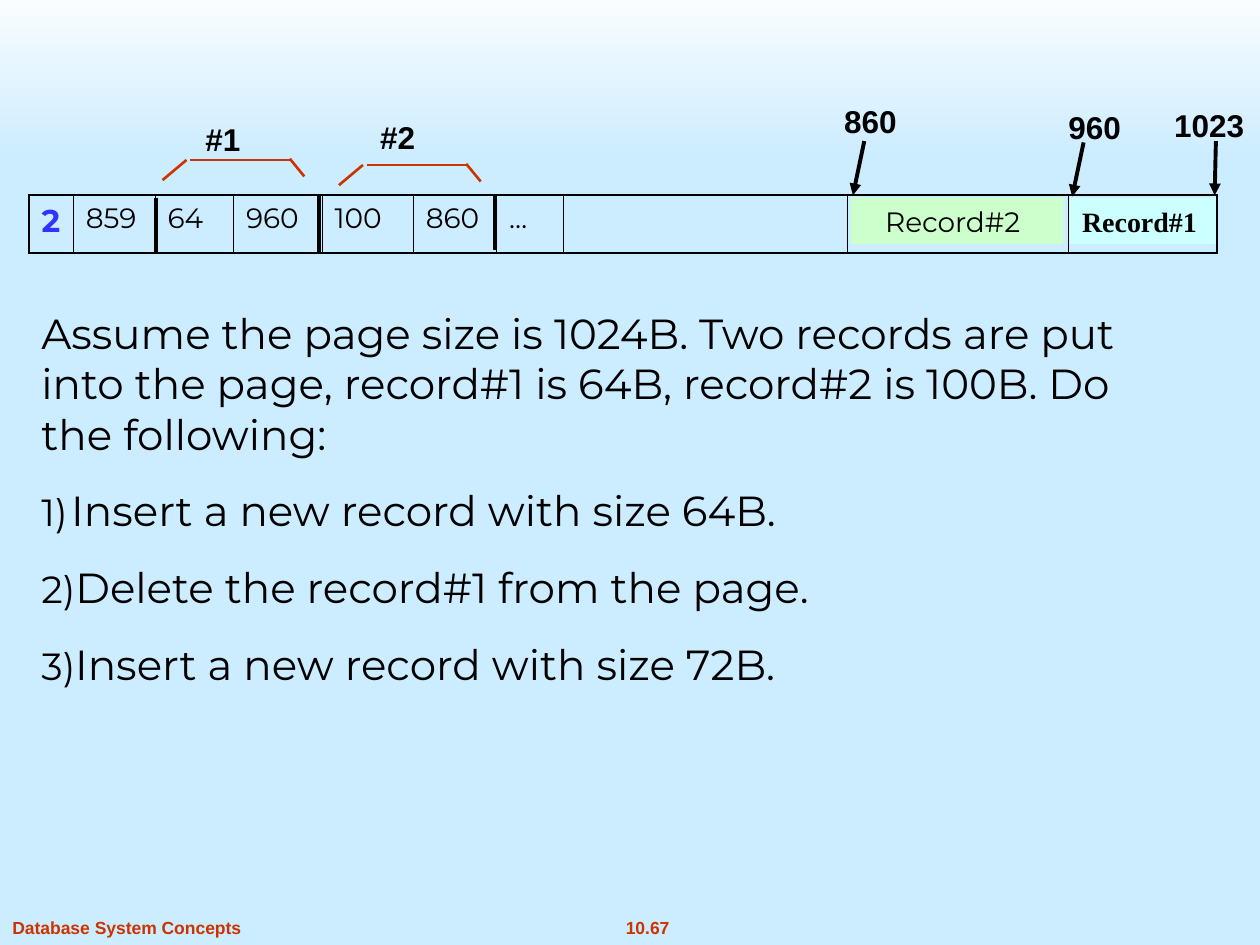
"""Builds the slide on inserting and deleting records in a slotted page."""
from lxml import etree
from pptx import Presentation
from pptx.dml.color import RGBColor
from pptx.enum.shapes import MSO_CONNECTOR, MSO_SHAPE
from pptx.enum.text import PP_ALIGN
from pptx.oxml.ns import qn
from pptx.util import Pt

STRAIGHT = MSO_CONNECTOR.STRAIGHT
RECTANGLE = MSO_SHAPE.RECTANGLE
LEFT, CENTER = PP_ALIGN.LEFT, PP_ALIGN.CENTER

BLACK = RGBColor(0x00, 0x00, 0x00)
WHITE = RGBColor(0xFF, 0xFF, 0xFF)
SKY = RGBColor(0xCC, 0xEC, 0xFF)
RED = RGBColor(0xCC, 0x33, 0x00)
BLUE = RGBColor(0x33, 0x33, 0xFF)
GREEN = RGBColor(0xCC, 0xFF, 0xCC)
CYAN = RGBColor(0xCC, 0xFF, 0xFF)

LABEL = {"name": "Arial", "size": Pt(18), "bold": True, "color": BLACK}
FOOTER = {"name": "Arial", "size": Pt(10), "bold": True, "color": RED}
COUNT = {"name": "Montserrat", "size": Pt(18), "bold": True, "color": BLUE}
ENTRY = {"name": "Montserrat", "size": Pt(16), "bold": False, "color": BLACK}
RECORD = {"name": "Times New Roman", "size": Pt(16), "bold": True, "color": BLACK}
BODY = {"name": "Montserrat", "size": Pt(24), "bold": False, "color": BLACK}

COLUMNS = [25.2, 46.8, 44.8, 50.6, 52.2, 47.5, 38.2, 162.1, 126.4, 85.2]
ENTRIES = ["2", "859", "64", "960", "100", "860", "…", "", "", ""]
TASKS = ["Insert a new record with size 64B.",
         "Delete the record#1 from the page.",
         "Insert a new record with size 72B."]


def write(para, text, style):
    """Adds a styled span to a paragraph."""
    span = para.add_run()
    span.text = text
    for key, value in style.items():
        if key == "color":
            span.font.color.rgb = value
        else:
            setattr(span.font, key, value)


def add_text(page, place, text, style, align=LEFT):
    """Adds a text box with one paragraph and returns its frame."""
    frame = page.shapes.add_textbox(*map(Pt, place)).text_frame
    frame.word_wrap = True
    frame.paragraphs[0].alignment = align
    write(frame.paragraphs[0], text, style)
    return frame


def add_rectangle(page, place):
    """Adds a rectangle without line or shadow."""
    shape = page.shapes.add_shape(RECTANGLE, *map(Pt, place))
    shape.shadow.inherit = False
    shape.line.fill.background()
    return shape


def add_gradient(page, place, colors):
    """Adds a rectangle shaded from top to bottom."""
    fill = add_rectangle(page, place).fill
    fill.gradient()
    fill.gradient_angle = 270
    for stop, color in zip(fill.gradient_stops, colors):
        stop.color.rgb = color


def add_line(shapes, start, end, color, width, arrow=False):
    """Adds a straight line, with an arrowhead at its end if asked."""
    line = shapes.add_connector(STRAIGHT, *map(Pt, start + end))
    line.line.color.rgb = color
    line.line.width = Pt(width)
    properties = line._element.spPr
    if arrow:
        etree.SubElement(properties.find(qn("a:ln")), qn("a:tailEnd"), type="triangle")
    etree.SubElement(properties, qn("a:effectLst"))


def add_bracket(page, left, top):
    """Adds a grouped bracket over one slot of the directory."""
    shapes = page.shapes.add_group_shape().shapes
    for x1, y1, x2, y2 in [(0, 11.5, 13.7, 0), (15.8, 0, 72.7, 0), (72.7, -0.7, 81, 9.4)]:
        add_line(shapes, (left + x1, top + y1), (left + x2, top + y2), RED, 1.5)


def add_record(page, place, text, style, color, indent):
    """Adds a filled record inside the page strip."""
    shape = add_rectangle(page, place)
    shape.fill.solid()
    shape.fill.fore_color.rgb = color
    frame = shape.text_frame
    frame.margin_left = Pt(indent)
    frame.paragraphs[0].alignment = LEFT
    write(frame.paragraphs[0], text, style)


def add_border(cell, side, width):
    """Adds a black border to one side of a cell."""
    edge = etree.SubElement(cell._tc.get_or_add_tcPr(), qn("a:ln" + side), w=str(Pt(width)))
    fill = etree.SubElement(edge, qn("a:solidFill"))
    etree.SubElement(fill, qn("a:srgbClr"), val=str(BLACK))


def add_strip(page):
    """Adds the table that shows the layout of the page."""
    place = map(Pt, (16.6, 111.6, sum(COLUMNS), 33.1))
    table = page.shapes.add_table(1, len(COLUMNS), *place).table
    table.first_row = table.horz_banding = False
    last = len(COLUMNS) - 1
    for index, (width, text) in enumerate(zip(COLUMNS, ENTRIES)):
        table.columns[index].width = Pt(width)
        cell = table.cell(0, index)
        add_border(cell, "L", 1.08 if index == 0 else 0.45)
        add_border(cell, "R", 1.08 if index == last else 0.45)
        add_border(cell, "T", 1.08)
        add_border(cell, "B", 1.08)
        cell.fill.background()
        if text:
            write(cell.text_frame.paragraphs[0], text, ENTRY if index else COUNT)


def add_tasks(page):
    """Adds the question and its numbered tasks."""
    question = ("Assume the page size is 1024B. Two records are put into the page, "
                "record#1 is 64B, record#2 is 100B. Do the following:")
    frame = add_text(page, (16.6, 172.1, 666, 225.4), question, BODY)
    for task in TASKS:
        para = frame.add_paragraph()
        para.space_before = Pt(15)
        properties = para._p.get_or_add_pPr()
        properties.set("marL", str(Pt(17)))
        properties.set("indent", str(Pt(-17)))
        color = etree.SubElement(properties, qn("a:buClr"))
        etree.SubElement(color, qn("a:srgbClr"), val=str(BLACK))
        etree.SubElement(properties, qn("a:buSzPct"), val="90000")
        etree.SubElement(properties, qn("a:buAutoNum"), type="arabicParenR")
        write(para, task, BODY)


def main():
    """Builds and saves the deck."""
    deck = Presentation()
    deck.slide_width, deck.slide_height = Pt(720), Pt(540)
    page = deck.slides.add_slide(deck.slide_layouts[6])
    page.background.fill.solid()
    page.background.fill.fore_color.rgb = SKY

    add_gradient(page, (0, -12.2, 720, 103.7), (WHITE, SKY))
    add_text(page, (331.9, 520.6, 76.3, 19.4), "10.67", FOOTER, CENTER)
    add_text(page, (0, 520.6, 180, 19.4), "Database System Concepts", FOOTER)

    add_strip(page)
    add_record(page, (486, 113, 121.7, 26.6), "Record#2", ENTRY, GREEN, 19.8)
    add_record(page, (611.3, 113, 83.5, 26.6), "Record#1", RECORD, CYAN, 7.2)

    for text, left, top in [("960", 603.4, 58.3), ("1023", 663.8, 56.9), ("860", 475.2, 54.7),
                            ("#1", 110.2, 64.8), ("#2", 210.2, 64.1)]:
        add_text(page, (left, top, 56.2, 28.8), text, LABEL)
    for start, end in [((619.2, 81.4), (612.7, 112.3)), ((694.8, 80.6), (694.1, 111.6)),
                       ((493.9, 80.6), (487.4, 111.6))]:
        add_line(page.shapes, start, end, BLACK, 2.25, arrow=True)
    for left, top in [(89.3, 113), (182.2, 112.3), (283, 110.9)]:
        add_line(page.shapes, (left, top), (left, top + 31.7), BLACK, 2.25)
    for left, top in [(92.9, 91.4), (193.7, 94.3)]:
        add_bracket(page, left, top)
    add_tasks(page)
    deck.save("out.pptx")


if __name__ == "__main__":
    main()
